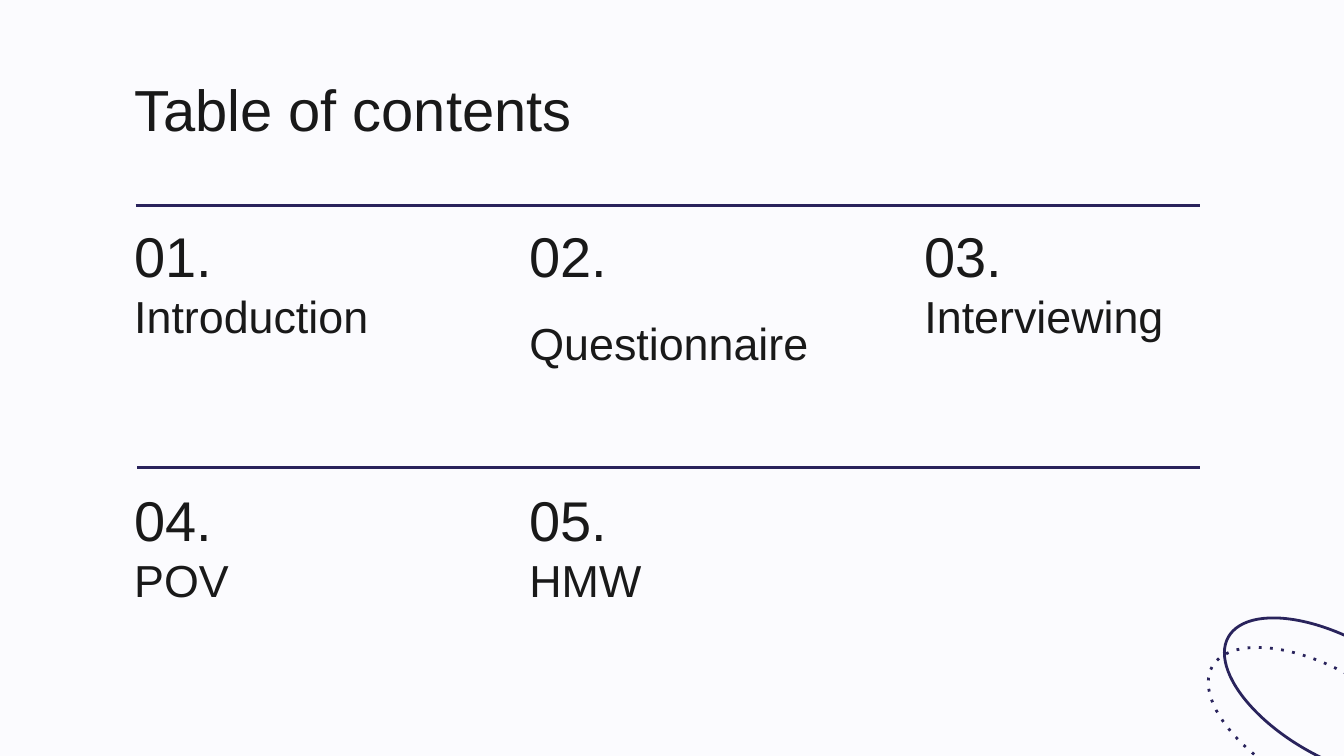
from pptx import Presentation
from pptx.dml.color import RGBColor
from pptx.enum.dml import MSO_LINE_DASH_STYLE as Dash
from pptx.enum.shapes import MSO_CONNECTOR as Link, MSO_SHAPE as Shape
from pptx.enum.text import MSO_ANCHOR as Anchor, MSO_AUTO_SIZE as Fit, PP_ALIGN as Align
from pptx.oxml.ns import qn
from pptx.util import Inches, Pt
from lxml.etree import SubElement

PAPER = RGBColor(0xFB, 0xFB, 0xFE)
INK = RGBColor(0x19, 0x19, 0x19)
NAVY = RGBColor(0x29, 0x23, 0x5C)
FONT = "Arial"

# Grid in inches: three columns, two rows, a rule above each row
WIDTH = 10
HEIGHT = WIDTH * 9 / 16
LEFT, COL = 0.9, 2.94
TOP, ROW = 1.66, 1.96
RIGHT = 8.93
RULES = [(1.01, 1.53), (1.02, 3.48)]
TOPICS = ["Introduction", " Questionnaire", "Interviewing", "POV", "HMW"]


def write(box, text, size):
    frame = box.text_frame
    frame.word_wrap = True
    frame.auto_size = Fit.NONE
    frame.vertical_anchor = Anchor.MIDDLE
    frame.margin_left = frame.margin_right = Inches(0.1)
    frame.margin_top = frame.margin_bottom = Inches(0.1)
    para = frame.paragraphs[0]
    para.alignment = Align.LEFT
    run = para.add_run()
    run.text = text
    run.font.name = FONT
    run.font.size = Pt(size)
    run.font.color.rgb = INK


def add_title(slide, text):
    title = slide.shapes.title
    title.left, title.top = Inches(LEFT), Inches(0.49)
    title.width, title.height = Inches(8.31), Inches(0.63)
    write(title, text, 31)


def add_text(slide, x, y, width, text, size):
    box = slide.shapes.add_textbox(Inches(x), Inches(y), Inches(width), Inches(0.48))
    write(box, text, size)


def add_topic(slide, index, name):
    row, col = divmod(index, 3)
    x, y = LEFT + col * COL, TOP + row * ROW
    add_text(slide, x, y + 0.45, 2.32, name, 24)
    add_text(slide, x, y, 1.39, f"{index + 1:02}.", 30)


def add_rule(slide, start, y):
    rule = slide.shapes.add_connector(
        Link.STRAIGHT, Inches(start), Inches(y), Inches(RIGHT), Inches(y))
    rule.line.color.rgb = NAVY
    rule.line.width = Pt(1.5)
    SubElement(rule._element.spPr, qn("a:effectLst"))


def add_ring(slide, x, y, dotted=False):
    ring = slide.shapes.add_shape(
        Shape.OVAL, Inches(x), Inches(y), Inches(0.89), Inches(1.85))
    ring.rotation = 299.4
    ring.shadow.inherit = False
    ring.fill.background()
    ring.line.color.rgb = NAVY
    ring.line.width = Pt(1.5)
    if dotted:
        # The wide-spaced dot has no public name, so set its value
        ring.line.dash_style = Dash.ROUND_DOT
        ring._element.spPr.find(".//" + qn("a:prstDash")).set("val", "dot")


def main():
    deck = Presentation()
    deck.slide_width, deck.slide_height = Inches(WIDTH), Inches(HEIGHT)
    slide = deck.slides.add_slide(deck.slide_layouts[5])
    slide.background.fill.solid()
    slide.background.fill.fore_color.rgb = PAPER

    # Corner rings
    add_ring(slide, 9.5, 4.27)
    add_ring(slide, 9.38, 4.49, dotted=True)

    # Heading and topics
    add_title(slide, "Table of contents")
    for index, name in enumerate(TOPICS):
        add_topic(slide, index, name)

    # Rules above the rows
    for start, y in RULES:
        add_rule(slide, start, y)

    deck.save("out.pptx")


if __name__ == "__main__":
    main()
